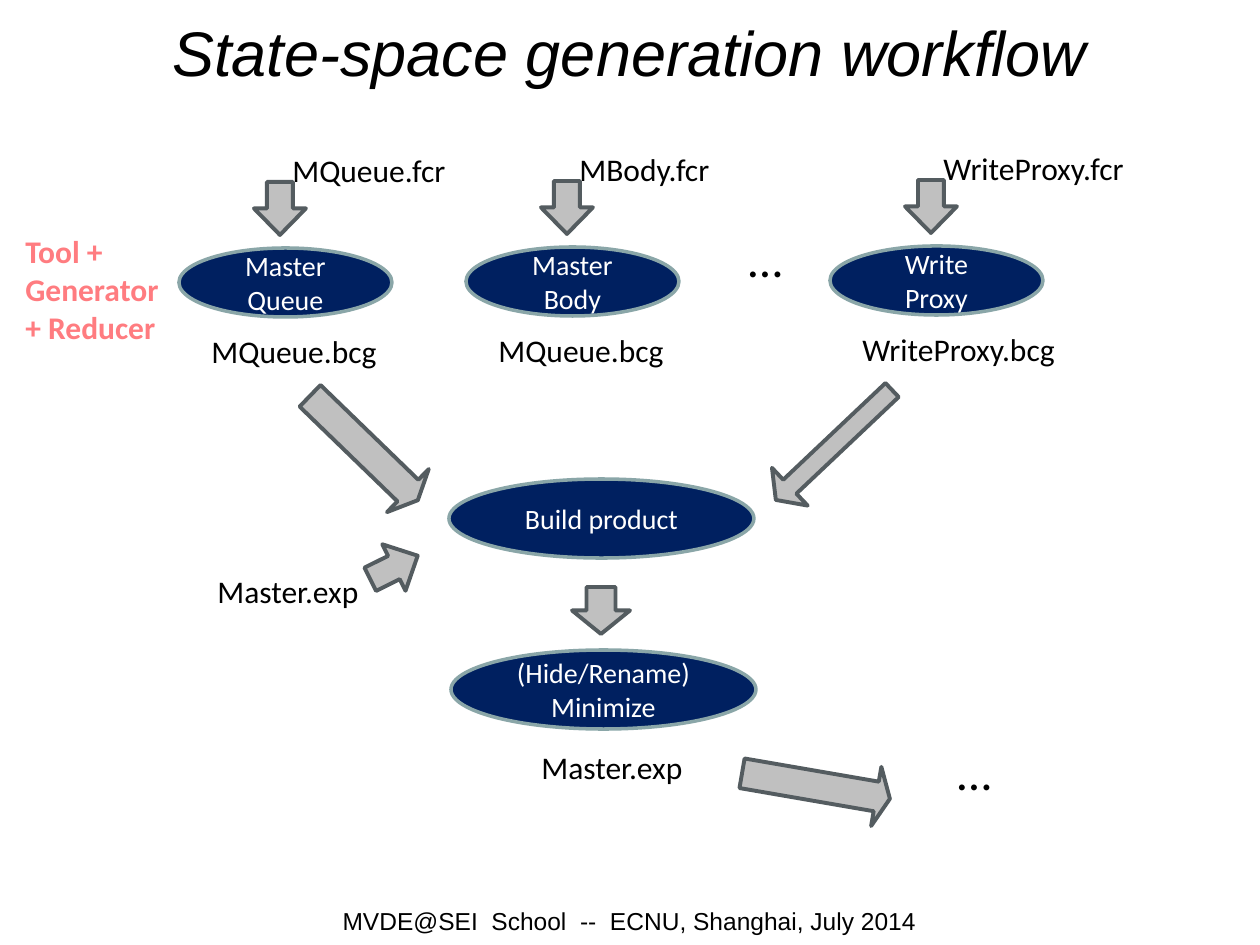
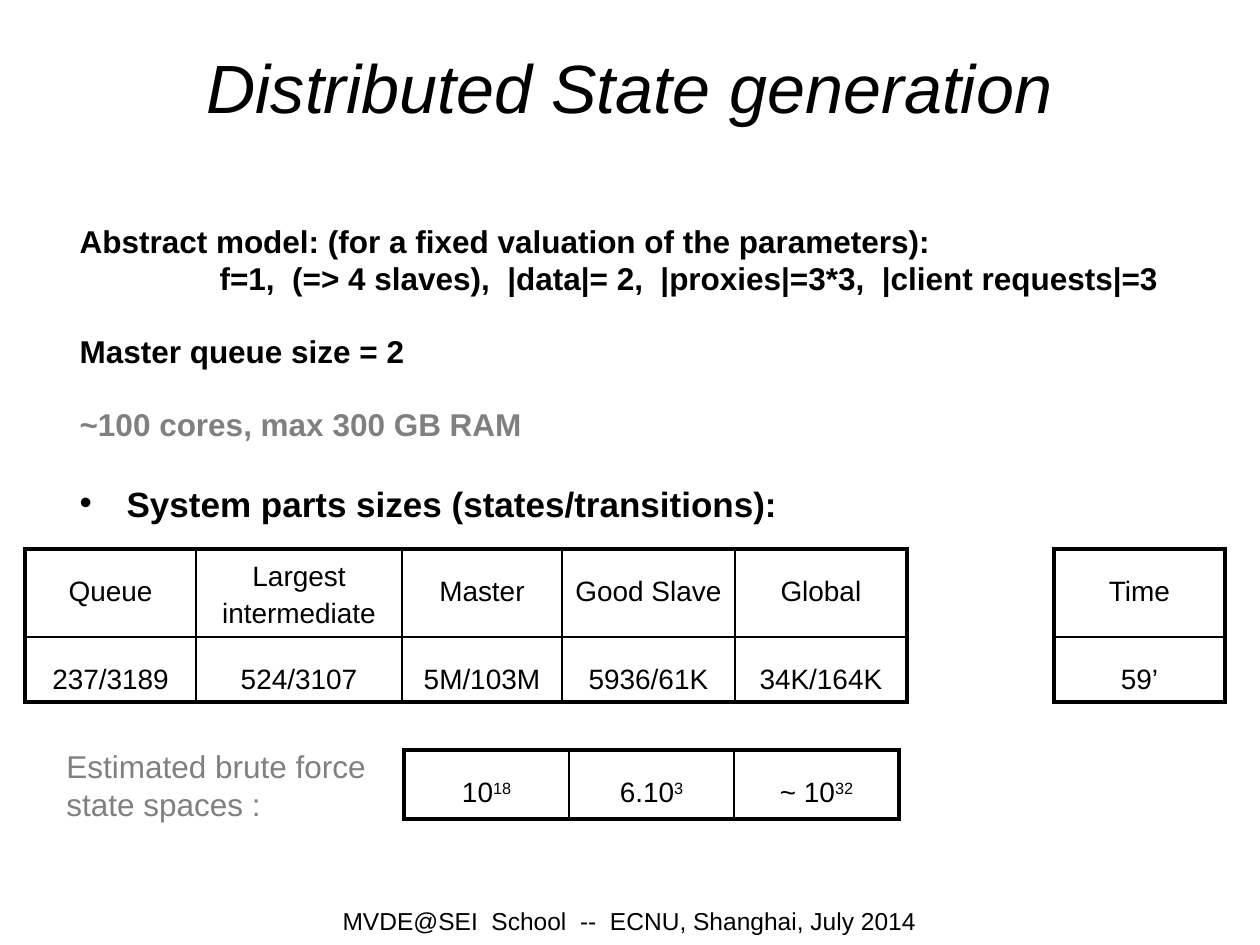
import pptx
import pptx.util
import pptx.dml.color
import pptx.enum.shapes
import pptx.enum.text
import pptx.oxml.ns
import lxml.etree

RGB = pptx.dml.color.RGBColor
BLACK = RGB(0, 0, 0)
WHITE = RGB(255, 255, 255)
NAVY = RGB(0x00, 0x20, 0x60)
SAGE = RGB(0x8A, 0xA6, 0xA8)
SILVER = RGB(0xC0, 0xC0, 0xC0)
SLATE = RGB(0x54, 0x5C, 0x60)
PINK = RGB(0xFF, 0x7C, 0x80)
GRAY = RGB(0x80, 0x80, 0x80)

Pt = pptx.util.Pt
SHAPE = pptx.enum.shapes.MSO_SHAPE
FIT = pptx.enum.text.MSO_AUTO_SIZE
MIDDLE = pptx.enum.text.MSO_ANCHOR.MIDDLE
CENTER = pptx.enum.text.PP_ALIGN.CENTER
LEFT = pptx.enum.text.PP_ALIGN.LEFT
qn = pptx.oxml.ns.qn

FOOTER = "MVDE@SEI  School  --  ECNU, Shanghai, July 2014"
THICK, THIN = 2.25, 1


def px(n):
    """Turn pixels, 126 to the inch, into EMU."""
    return round(n * 914400 / 126)


def place(shape, x, y, w, h):
    shape.left, shape.top, shape.width, shape.height = map(px, (x, y, w, h))


def style(par, size, color, face, align=LEFT, bold=False, slant=False):
    par.alignment = align
    for run in par.runs:
        font = run.font
        font.size, font.name = Pt(size), face
        font.bold, font.italic = bold, slant
        font.color.rgb = color


def write(frame, text, *look, **more):
    frame.text = text
    for par in frame.paragraphs:
        style(par, *look, **more)


def label(slide, text, x, y, w, h, size=18, color=BLACK, bold=False):
    """Add a Calibri text that does not wrap."""
    frame = slide.shapes.add_textbox(px(x), px(y), px(w), px(h)).text_frame
    frame.word_wrap = False
    frame.auto_size = FIT.SHAPE_TO_FIT_TEXT
    write(frame, text, size, color, "Calibri", bold=bold)


def solid(slide, kind, x, y, w, h, fill, edge, width):
    shape = slide.shapes.add_shape(kind, px(x), px(y), px(w), px(h))
    shape.shadow.inherit = False
    shape.fill.solid()
    shape.fill.fore_color.rgb = fill
    shape.line.color.rgb = edge
    shape.line.width = Pt(width)
    return shape


def oval(slide, text, x, y, w, h):
    frame = solid(slide, SHAPE.OVAL, x, y, w, h, NAVY, SAGE, 2).text_frame
    frame.word_wrap = True
    frame.vertical_anchor = MIDDLE
    write(frame, text, 16, WHITE, "Calibri", align=CENTER)


def arrow(slide, x, y, w, h, turn=0, shaft=0.5, head=0.51):
    shape = solid(slide, SHAPE.DOWN_ARROW, x, y, w, h, SILVER, SLATE, 2.25)
    shape.rotation = turn
    shape.adjustments[0], shape.adjustments[1] = shaft, head


def start(deck, layout, title, top, size):
    """Add a slide with its title and footer."""
    slide = deck.slides.add_slide(deck.slide_layouts[layout])
    head = slide.shapes.title
    place(head, 98, top, 1063, 102)
    frame = head.text_frame
    frame.auto_size = FIT.NONE
    frame.vertical_anchor = MIDDLE
    write(frame, title, size, BLACK, "Arial", align=CENTER, slant=True)
    foot = slide.shapes.add_textbox(px(74), px(900), px(1111), px(45))
    foot.text_frame.word_wrap = True
    write(foot.text_frame, FOOTER, 14, BLACK, "Arial", align=CENTER)
    return slide


def branch(slide, x, y, name, source, swide, result, rwide):
    """Draw one input file, its process and its output file."""
    label(slide, result, x + 20, y + 78, rwide, 45)
    oval(slide, name, x, y, 213, 69)
    label(slide, source, x + 101, y - 103, swide, 45)
    arrow(slide, x + 75, y - 66, 52, 53)


def build(slide, x, y):
    """Draw the product steps below the branches."""
    oval(slide, "Build product", x, y, 305, 79)
    arrow(slide, x + 123, y + 108, 58, 47, head=0.5)
    oval(slide, "(Hide/Rename)\nMinimize", x + 2, y + 171, 305, 79)
    label(slide, "Master.exp", x - 244, y + 87, 168, 50)
    label(slide, "Master.exp", x + 80, y + 263, 168, 50)
    arrow(slide, x - 115, y - 106, 60, 150, 314.1, head=0.23)
    arrow(slide, x - 81, y + 62, 52, 53, 243.5)
    arrow(slide, x + 359, y - 114, 52, 160, 46.6, 0.37, 0.37)
    arrow(slide, x + 337, y + 232, 60, 150, 279.8, head=0.23)
    label(slide, "…", x + 496, y + 256, 59, 72, 28)


def flow(deck):
    slide = start(deck, 5, "State-space generation workflow", 0, 36)
    branch(slide, 179, 248, "Master Queue", "MQueue.fcr", 180, "MQueue.bcg", 193)
    branch(slide, 466, 247, "Master Body", "MBody.fcr", 156, "MQueue.bcg", 193)
    branch(slide, 830, 246, "Write Proxy", "WriteProxy.fcr", 207,
           "WriteProxy.bcg", 219)
    label(slide, "…", 736, 222, 59, 72, 28)
    label(slide, "Tool +\nGenerator\n+ Reducer", 13, 226, 170, 127,
          color=PINK, bold=True)
    build(slide, 449, 479)


def model(body):
    """Fill the list; each row has text, size, colour, space before, indent."""
    rows = [
        ("Abstract model: (for a fixed valuation of the parameters):",
         18, BLACK, 4, 0),
        ("f=1,  (=> 4 slaves),  |data|= 2,  |proxies|=3*3,  |client requests|=3",
         18, BLACK, 4, 140),
        ("Master queue size = 2", 18, BLACK, 24.5, 0),
        ("~100 cores, max 300 GB RAM", 18, GRAY, 24.5, 0),
        ("System parts sizes (states/transitions):", 20, BLACK, 27, 47),
    ]
    place(body, 67, 223, 1123, 319)
    frame = body.text_frame
    frame.auto_size = FIT.NONE
    frame.text = "\n".join(row[0] for row in rows)
    for par, (_, size, color, space, left) in zip(frame.paragraphs, rows):
        style(par, size, color, "Arial", bold=True)
        par.line_spacing = 0.8
        par.space_before = Pt(space)
        props = par._p.get_or_add_pPr()
        point = size == 20
        props.set("marL", str(px(left)))
        props.set("indent", str(px(-left) if point else 0))
        if point:
            lxml.etree.SubElement(props, qn("a:buChar")).set("char", "•")
        else:
            lxml.etree.SubElement(props, qn("a:buNone"))


def edge(cell, widths):
    """Set the left, right, top and bottom borders; 0 draws none."""
    props = cell._tc.get_or_add_tcPr()
    for i, (side, width) in enumerate(zip("LRTB", widths)):
        line = lxml.etree.Element(qn("a:ln" + side), w=str(Pt(width)))
        if width:
            fill = lxml.etree.SubElement(line, qn("a:solidFill"))
            lxml.etree.SubElement(fill, qn("a:srgbClr")).set("val", str(BLACK))
        else:
            lxml.etree.SubElement(line, qn("a:noFill"))
        props.insert(i, line)


def grid(slide, x, y, cols, rows, cells):
    """Add a table with thick outer borders; "^" in a cell starts a power."""
    table = slide.shapes.add_table(len(rows), len(cols), px(x), px(y),
                                   px(sum(cols)), px(sum(rows))).table
    table.first_row = table.horz_banding = False
    for col, wide in zip(table.columns, cols):
        col.width = px(wide)
    for row, high in zip(table.rows, rows):
        row.height = px(high)
    for r, line in enumerate(cells):
        for c, text in enumerate(line):
            cell = table.cell(r, c)
            cell.fill.background()
            cell.margin_left = cell.margin_right = px(11)
            cell.margin_top, cell.margin_bottom = px(6), px(1)
            if not text:
                edge(cell, (THICK, THICK, 0, 0))
                continue
            base, _, power = text.partition("^")
            par = cell.text_frame.paragraphs[0]
            par.text = base
            if power:
                run = par.add_run()
                run.text = power
                run.font._element.set("baseline", "30000")
            style(par, 16, BLACK, "Arial", CENTER)
            par.line_spacing = 1.2 if text.startswith("Largest") else 1.7
            first = c == 0 or not line[c - 1]
            last = c == len(line) - 1 or not line[c + 1]
            ends = (first, last, r == 0, r == len(rows) - 1)
            edge(cell, [THICK if end else THIN for end in ends])


def sizes(deck):
    slide = start(deck, 1, "Distributed State generation", 35, 39)
    model(slide.placeholders[1])
    grid(slide, 25, 549, [171, 206, 160, 173, 172, 147, 171], [88, 65], [
        ["Queue", "Largest intermediate", "Master", "Good Slave", "Global",
         "", "Time"],
        ["237/3189", "524/3107", "5M/103M", "5936/61K", "34K/164K", "", "59’"],
    ])
    note = slide.shapes.add_textbox(px(54), px(741), px(389), px(88))
    note.text_frame.word_wrap = True
    write(note.text_frame, "Estimated brute force state spaces :",
          18, GRAY, "Arial")
    grid(slide, 404, 750, [165] * 3, [69], [["10^18", "6.10^3", "~ 10^32"]])


def main():
    deck = pptx.Presentation()
    deck.slide_width, deck.slide_height = px(1260), px(945)
    flow(deck)
    sizes(deck)
    deck.save("out.pptx")


if __name__ == "__main__":
    main()
